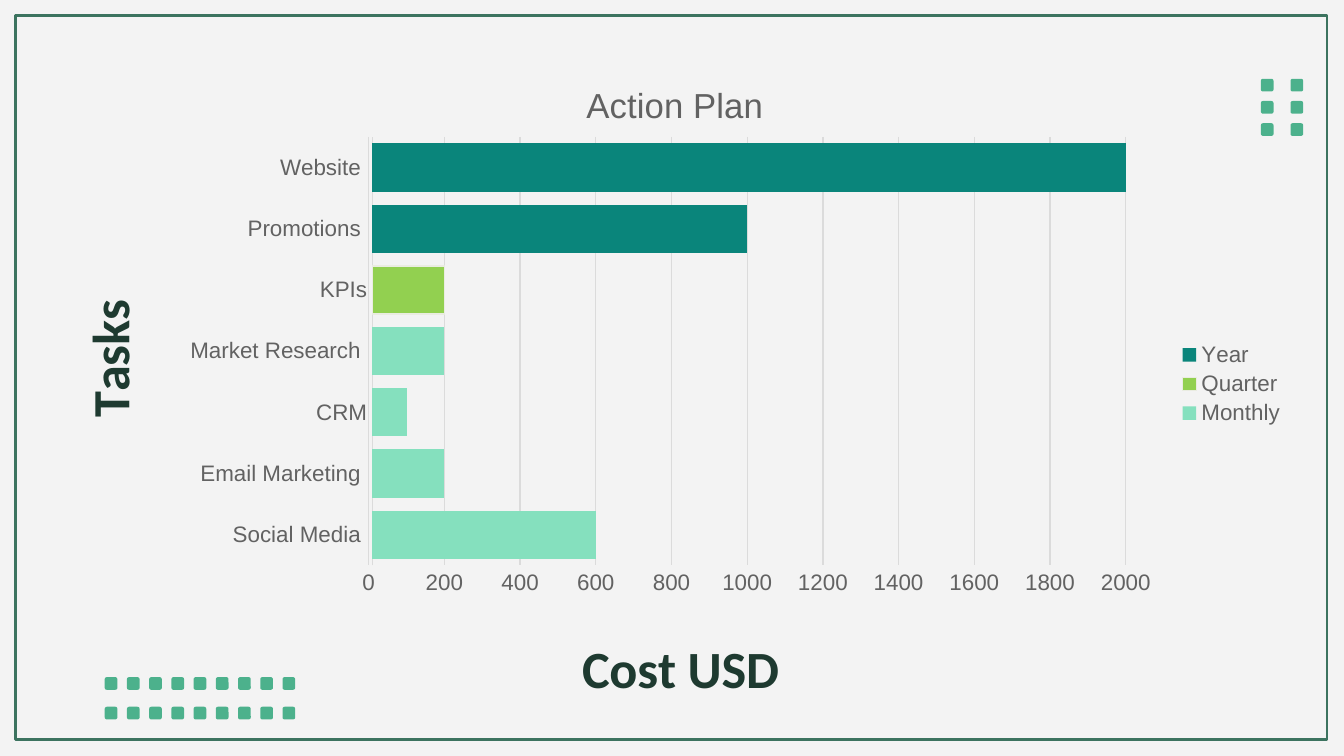
"""Build the action plan slide: a bar chart of task costs inside a decorated frame."""
from pptx import Presentation
from pptx.chart.data import CategoryChartData
from pptx.dml.color import RGBColor
from pptx.enum.chart import XL_CHART_TYPE as ChartType
from pptx.enum.chart import XL_LEGEND_POSITION as LegendPosition
from pptx.enum.chart import XL_TICK_MARK as TickMark
from pptx.enum.shapes import MSO_SHAPE as Shape
from pptx.oxml import parse_xml
from pptx.oxml.ns import nsdecls, qn
from pptx.util import Cm, Pt

BACKGROUND = RGBColor(0xF3, 0xF3, 0xF3)
FRAME = RGBColor(0x3C, 0x73, 0x5F)
DOT = RGBColor(0x4C, 0xB1, 0x8C)
DARK = RGBColor(0x1E, 0x3A, 0x30)
GREY = RGBColor(0x62, 0x62, 0x62)
GRID = RGBColor(0xDB, 0xDB, 0xDB)
QUARTER_LINE = RGBColor(0xEA, 0xEC, 0xE1)

CATEGORIES = ["Social Media ", "Email Marketing ", "CRM", "Market Research ",
              "KPIs", "Promotions ", "Website "]
SERIES = {
    "Monthly": ([600, 200, 100, 200, None, None, None], RGBColor(0x85, 0xE0, 0xBE)),
    "Quarter": ([None, None, None, None, 200, None, None], RGBColor(0x92, 0xD0, 0x50)),
    "Year": ([None, None, None, None, None, 1000, 2000], RGBColor(0x0A, 0x85, 0x7B)),
}
LABEL_FONT = {"name": "Arial", "size": Pt(12), "bold": False}
TITLE_FONT = {"name": "Arial", "size": Pt(18.6), "bold": False}
AXIS_TITLE_FONT = {"name": "Calibri", "size": Pt(28), "bold": True}


def set_values(target, values):
    for name, value in values.items():
        setattr(target, name, value)


def format_font(font, values, color):
    set_values(font, values)
    font.color.rgb = color


def format_line(line, color, width):
    line.color.rgb = color
    line.width = Pt(width)


def add_frame(slide):
    frame = slide.shapes.add_shape(Shape.RECTANGLE, Cm(0.3), Cm(0.3), Cm(24.78), Cm(13.68))
    frame.shadow.inherit = False
    frame.fill.background()
    format_line(frame.line, FRAME, 1.5)


def add_dots(slide, left, top, columns, rows, column_step, row_step):
    for row in range(rows):
        for column in range(columns):
            dot = slide.shapes.add_shape(
                Shape.ROUNDED_RECTANGLE, Cm(left + column * column_step),
                Cm(top + row * row_step), Cm(0.24), Cm(0.24))
            dot.shadow.inherit = False
            dot.fill.solid()
            dot.fill.fore_color.rgb = DOT
            dot.line.fill.background()


def place(element, index, **fractions):
    """Give a chart element a manual layout in fractions of the chart."""
    for layout in element.findall(qn("c:layout")):
        element.remove(layout)
    target = '<c:layoutTarget val="inner"/>' if "w" in fractions else ""
    modes = "".join(f'<c:{key}Mode val="edge"/>' for key in "xy")
    values = "".join(f'<c:{key} val="{value}"/>' for key, value in fractions.items())
    element.insert(index, parse_xml(
        f'<c:layout {nsdecls("c")}><c:manualLayout>{target}{modes}{values}'
        '</c:manualLayout></c:layout>'))


def set_title(title, text, font, color, x, y, rotation=0):
    frame = title.text_frame
    frame.text = text
    format_font(frame.paragraphs[0].runs[0].font, font, color)
    body = title._element.find(".//" + qn("a:bodyPr"))
    body.set("rot", str(rotation * 60000))
    body.set("vert", "horz")
    place(title._element, 1, x=x, y=y)


def format_axes(chart):
    category_axis, value_axis = chart.category_axis, chart.value_axis
    for axis in (category_axis, value_axis):
        set_values(axis, {"major_tick_mark": TickMark.NONE, "minor_tick_mark": TickMark.NONE})
        format_font(axis.tick_labels.font, LABEL_FONT, GREY)
    category_axis.has_major_gridlines = False
    format_line(category_axis.format.line, GRID, 0.75)
    set_values(value_axis, {"minimum_scale": 0, "maximum_scale": 2000, "major_unit": 200,
                            "crosses_at": 10, "has_major_gridlines": True})
    value_axis.format.line.fill.background()
    format_line(value_axis.major_gridlines.format.line, GRID, 0.75)
    set_title(category_axis.axis_title, "Tasks", AXIS_TITLE_FONT, DARK, 0.014, 0.363, -90)
    set_title(value_axis.axis_title, "Cost USD", AXIS_TITLE_FONT, DARK, 0.42, 0.852)


def add_cost_chart(slide):
    data = CategoryChartData()
    data.categories = CATEGORIES
    for name, (values, _) in SERIES.items():
        data.add_series(name, values)
    chart = slide.shapes.add_chart(ChartType.BAR_CLUSTERED, Cm(0.89), Cm(0.81),
                                   Cm(23.65), Cm(12.9), data).chart
    format_font(chart.font, LABEL_FONT, GREY)
    plot = chart.plots[0]
    set_values(plot, {"gap_width": 27, "overlap": 100, "vary_by_categories": False})
    for series in plot.series:
        series.format.fill.solid()
        series.format.fill.fore_color.rgb = SERIES[series.name][1]
        if series.name == "Quarter":
            format_line(series.format.line, QUARTER_LINE, 0.75)
    format_axes(chart)
    set_title(chart.chart_title, "Action Plan", TITLE_FONT, GREY, 0.426, 0.048)
    chart.has_legend = True
    set_values(chart.legend, {"position": LegendPosition.RIGHT, "include_in_layout": False})
    format_font(chart.legend.font, LABEL_FONT, GREY)
    place(chart._chartSpace.chart.plotArea, 0, x=0.257, y=0.138, w=0.605, h=0.628)


def main():
    presentation = Presentation()
    set_values(presentation, {"slide_width": Cm(25.4), "slide_height": Cm(14.29)})
    slide = presentation.slides.add_slide(presentation.slide_layouts[6])
    slide.background.fill.solid()
    slide.background.fill.fore_color.rgb = BACKGROUND
    add_frame(slide)
    add_dots(slide, 23.83, 1.49, 2, 3, 0.56, 0.42)
    add_dots(slide, 1.98, 12.8, 9, 2, 0.42, 0.56)
    add_cost_chart(slide)
    presentation.save("out.pptx")


if __name__ == "__main__":
    main()
